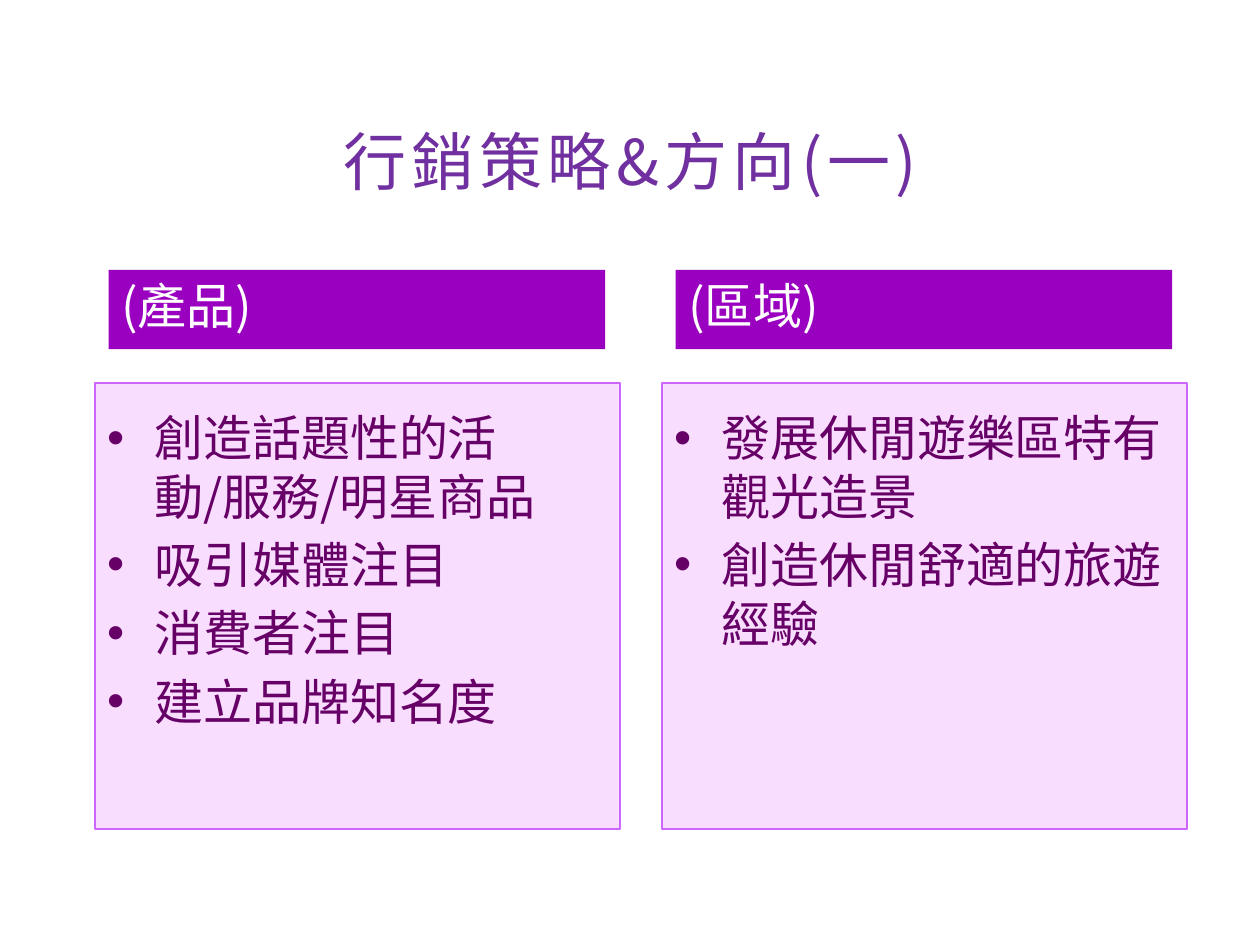
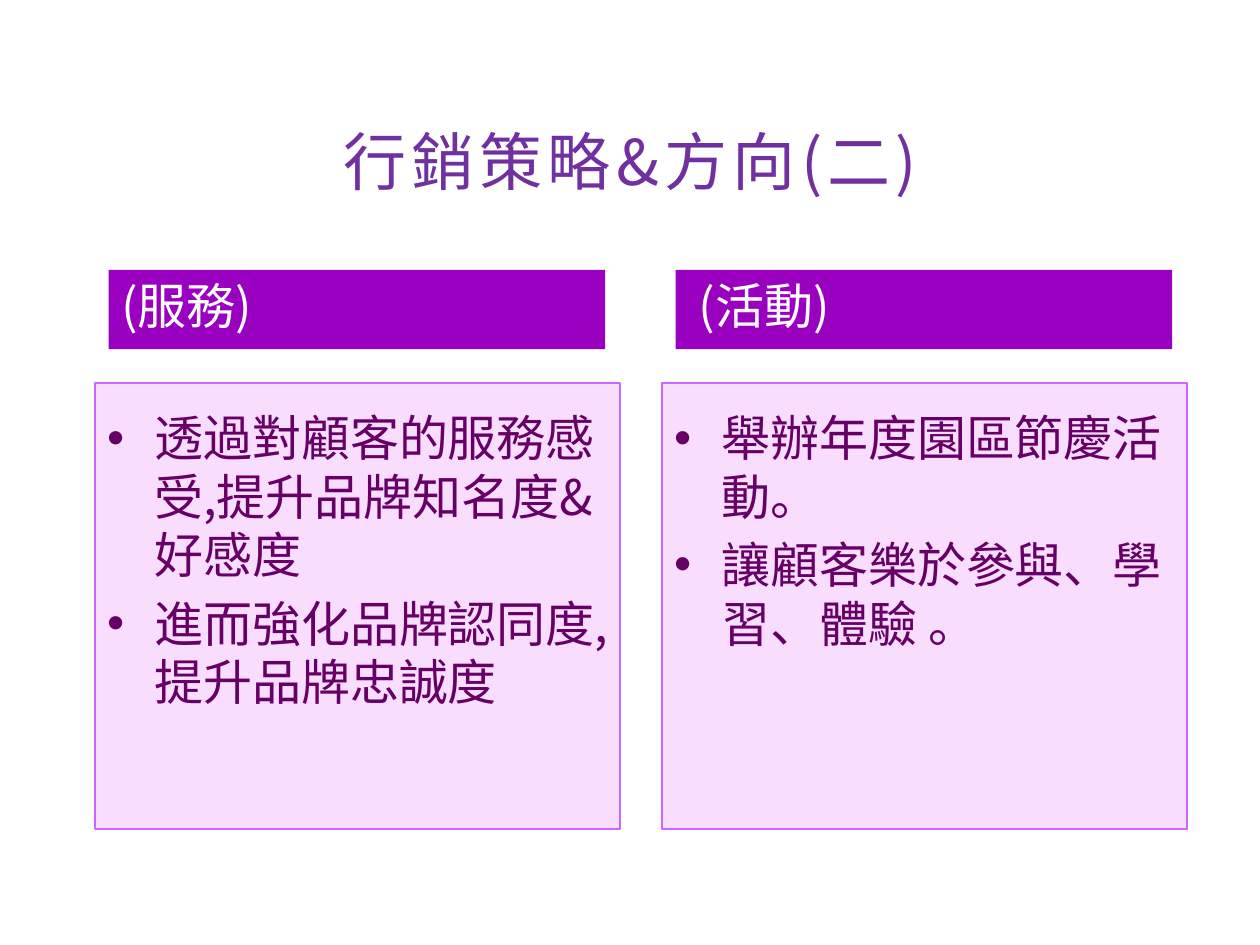
from dataclasses import dataclass

from lxml.etree import SubElement
from pptx import Presentation
from pptx.dml.color import RGBColor
from pptx.enum.text import MSO_ANCHOR as Anchor, MSO_AUTO_SIZE as AutoSize, PP_ALIGN as Align
from pptx.oxml.ns import qn
from pptx.util import Cm, Pt

PAGES = [
    ("行銷策略&方向(一)", [
        ("(產品)", ["創造話題性的活動/服務/明星商品", "吸引媒體注目", "消費者注目", "建立品牌知名度"]),
        ("(區域)", ["發展休閒遊樂區特有觀光造景", "創造休閒舒適的旅遊經驗"]),
    ]),
    ("行銷策略&方向(二)", [
        ("(服務)", ["透過對顧客的服務感受,提升品牌知名度&好感度", "進而強化品牌認同度,提升品牌忠誠度"]),
        (" (活動)", ["舉辦年度園區節慶活動。", "讓顧客樂於參與、學習、體驗 。"]),
    ]),
]


@dataclass(frozen=True)
class Theme:
    font: str = "Noto Sans CJK SC"
    title: str = "7030A0"
    header: str = "9900BF"
    header_text: str = "FFFFFF"
    panel: str = "F9DDFF"
    panel_edge: str = "CC66FF"
    panel_text: str = "660066"
    title_size: float = 36
    text_size: float = 28
    text_pitch: float = 33.4
    text_gap: float = 5.6


THEME = Theme()
COMPARISON_LAYOUT = 4
LEFT, COLUMN_STEP = 1.91, 11.43
HEADER_INSET = 0.28
TITLE_AREA = (LEFT, 2.36, 21.59, 1.73)
HEADER_TOP, HEADER_WIDTH, HEADER_HEIGHT = 5.44, 10.01, 1.6
PANEL_TOP, PANEL_WIDTH, PANEL_HEIGHT = 7.72, 10.59, 8.99


def place(box, left, top, width, height, fill=None, edge=None):
    box.left, box.top, box.width, box.height = map(Cm, (left, top, width, height))
    if fill:
        box.fill.solid()
        box.fill.fore_color.rgb = RGBColor.from_string(fill)
    if edge:
        box.line.color.rgb = RGBColor.from_string(edge)
        box.line.width = Pt(1)


def write(box, lines, *, color, size=THEME.text_size, pitch=None, gap=0,
          align=Align.LEFT, anchor=Anchor.TOP, top_inset=0.13, tracking=0):
    frame = box.text_frame
    frame.word_wrap = True
    frame.auto_size = AutoSize.NONE
    frame.vertical_anchor = anchor
    frame.margin_left = frame.margin_right = Cm(0.25)
    frame.margin_top, frame.margin_bottom = Cm(top_inset), Cm(0.13)
    for index, line in enumerate(lines):
        para = frame.add_paragraph() if index else frame.paragraphs[0]
        para.alignment = align
        para.space_before = Pt(gap if index else 0)
        if pitch:
            para.line_spacing = Pt(pitch)
        span = para.add_run()
        span.text = line
        span.font.name = THEME.font
        span.font.size = Pt(size)
        span.font.bold = False
        span.font.color.rgb = RGBColor.from_string(color)
        properties = span.font._element
        SubElement(properties, qn("a:ea"), typeface=THEME.font)
        if tracking:
            properties.set("spc", str(tracking * 100))


def add_page(deck, title, columns):
    page = deck.slides.add_slide(deck.slide_layouts[COMPARISON_LAYOUT])
    place(page.shapes.title, *TITLE_AREA)
    write(page.shapes.title, [title], color=THEME.title, size=THEME.title_size,
          align=Align.CENTER, anchor=Anchor.MIDDLE, tracking=3)
    for column, (heading, points) in enumerate(columns):
        left = LEFT + column * COLUMN_STEP
        header = page.placeholders[1 + 2 * column]
        panel = page.placeholders[2 + 2 * column]
        place(header, left + HEADER_INSET, HEADER_TOP, HEADER_WIDTH, HEADER_HEIGHT, THEME.header)
        write(header, [heading], color=THEME.header_text, pitch=THEME.text_pitch)
        place(panel, left, PANEL_TOP, PANEL_WIDTH, PANEL_HEIGHT, THEME.panel, THEME.panel_edge)
        write(panel, points, color=THEME.panel_text, pitch=THEME.text_pitch,
              gap=THEME.text_gap, top_inset=0.51)


def main():
    deck = Presentation()
    deck.slide_width, deck.slide_height = Cm(25.4), Cm(19.05)
    for title, columns in PAGES:
        add_page(deck, title, columns)
    deck.save("out.pptx")


if __name__ == "__main__":
    main()
